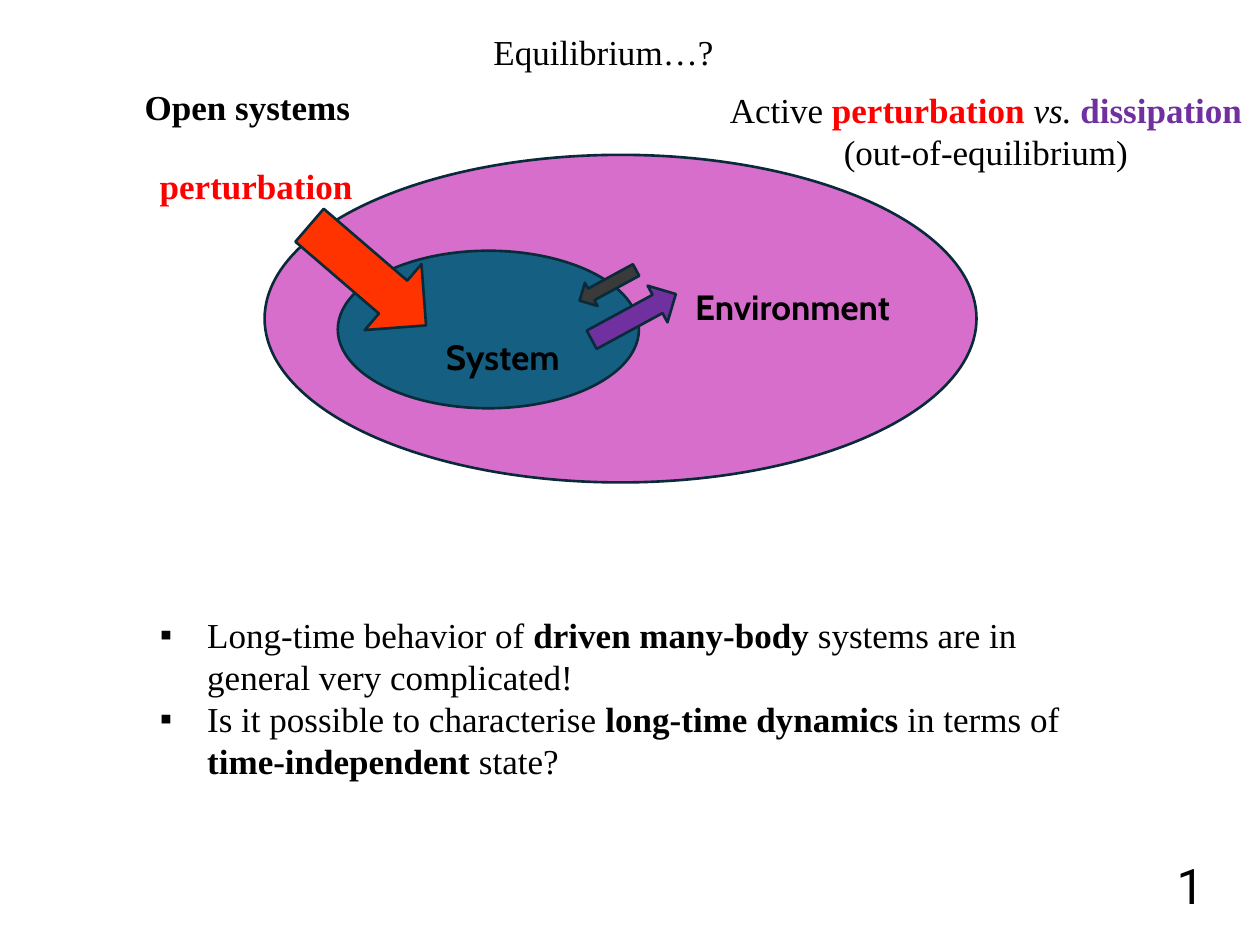
from dataclasses import dataclass
from typing import Any, NamedTuple, Optional

import pptx
import pptx.dml.color
import pptx.enum.shapes
import pptx.enum.text
import pptx.oxml.ns
import pptx.util
from lxml import etree

Pt = pptx.util.Pt
RGBColor = pptx.dml.color.RGBColor
Kind = pptx.enum.shapes.MSO_SHAPE
Align = pptx.enum.text.PP_ALIGN

BLACK = RGBColor(0x00, 0x00, 0x00)
RED = RGBColor(0xFF, 0x00, 0x00)
PURPLE = RGBColor(0x70, 0x30, 0xA0)
PINK = RGBColor(0xD8, 0x6E, 0xCC)
TEAL = RGBColor(0x15, 0x60, 0x82)
ORANGE = RGBColor(0xFF, 0x33, 0x00)
GRAY = RGBColor(0x3A, 0x3A, 0x3A)
NAVY = RGBColor(0x09, 0x2A, 0x39)
WHITE = RGBColor(0xFF, 0xFF, 0xFF)

SERIF = "Times New Roman"
INDENT = 27


class Box(NamedTuple):
    left: float
    top: float
    width: float
    height: float


class Run(NamedTuple):
    text: str
    bold: bool = False
    slant: bool = False
    color: Optional[RGBColor] = None


@dataclass(frozen=True)
class Form:
    kind: Any
    box: Box
    fill: RGBColor
    turn: float = 0


@dataclass(frozen=True)
class Label:
    text: str
    box: Box
    font: str = SERIF
    size: float = 20
    color: RGBColor = BLACK
    bold: bool = True


FORMS = [
    Form(Kind.OVAL, Box(151.2, 88.5, 406.8, 187.2), PINK),
    Form(Kind.OVAL, Box(193, 143.3, 172.1, 90), TEAL),
    Form(Kind.LEFT_ARROW, Box(166.3, 132.5, 87.8, 49.7), ORANGE, 220.7),
    Form(Kind.LEFT_ARROW, Box(329, 155.5, 36.7, 15.1), GRAY, 331.5),
    Form(Kind.RIGHT_ARROW, Box(334.8, 169.2, 54.7, 23.8), PURPLE, 331.5),
]

LABELS = [
    Label("Open systems", Box(75.6, 45.4, 262.8, 31.7)),
    Label("System", Box(247.7, 187.9, 84.2, 31.7), font="Cabin"),
    Label("Environment", Box(390.2, 159.8, 133.2, 31.7), font="Cabin"),
    Label("1", Box(665.3, 485.3, 79.9, 41), font="Roboto", size=28, bold=False),
    Label("perturbation", Box(84.2, 90.7, 288.7, 31.7), color=RED),
]

CLAIM = [
    [
        Run("Active "),
        Run("perturbation ", bold=True, color=RED),
        Run("vs. ", slant=True),
        Run("dissipation", bold=True, color=PURPLE),
    ],
    [Run("(out-of-equilibrium)")],
]

POINTS = [
    [
        Run("Long-time behavior of "),
        Run("driven many-body ", bold=True),
        Run("systems are in general very complicated!"),
    ],
    [
        Run("Is it possible to characterise "),
        Run("long-time dynamics ", bold=True),
        Run("in terms of "),
        Run("time-independent ", bold=True),
        Run("state?"),
    ],
]


def place(shape: Any, box: Box) -> None:
    shape.left, shape.top, shape.width, shape.height = map(Pt, box)


def mark(para: Any) -> None:
    props = para._p.get_or_add_pPr()
    props.set("marL", str(Pt(INDENT)))
    props.set("indent", str(-Pt(INDENT)))
    etree.SubElement(props, pptx.oxml.ns.qn("a:buChar"), char="▪")


def write(
    shape: Any,
    lines: list[list[Run]],
    *,
    font: str = SERIF,
    size: float = 20,
    color: RGBColor = BLACK,
    align: Any = Align.LEFT,
    bullet: bool = False,
) -> None:
    frame = shape.text_frame
    frame.word_wrap = True
    frame.auto_size = pptx.enum.text.MSO_AUTO_SIZE.NONE
    frame.vertical_anchor = pptx.enum.text.MSO_ANCHOR.TOP
    for index, line in enumerate(lines):
        para = frame.add_paragraph() if index else frame.paragraphs[0]
        para.alignment = align
        para.space_before = Pt(0)
        if bullet:
            mark(para)
        for part in line:
            run = para.add_run()
            run.text = part.text
            run.font.name = font
            run.font.size = Pt(size)
            run.font.bold = part.bold
            run.font.italic = part.slant
            run.font.color.rgb = part.color or color


def draw(slide: Any, form: Form) -> None:
    shape = slide.shapes.add_shape(form.kind, *map(Pt, form.box))
    shape.shadow.inherit = False
    shape.rotation = form.turn
    shape.fill.solid()
    shape.fill.fore_color.rgb = form.fill
    shape.line.color.rgb = NAVY
    shape.line.width = Pt(1.5)


def tag(slide: Any, label: Label) -> None:
    shape = slide.shapes.add_textbox(*map(Pt, label.box))
    write(
        shape,
        [[Run(label.text, bold=label.bold)]],
        font=label.font,
        size=label.size,
        color=label.color,
    )


def main() -> None:
    deck = pptx.Presentation()
    deck.slide_width, deck.slide_height = Pt(720), Pt(540)
    slide = deck.slides.add_slide(deck.slide_layouts[1])
    slide.background.fill.solid()
    slide.background.fill.fore_color.rgb = WHITE

    title, body = slide.placeholders
    place(title, Box(208.1, 13.7, 273.6, 31.7))
    write(title, [[Run("Equilibrium…?")]], align=Align.CENTER)
    place(body, Box(84.2, 347, 539.3, 104.4))
    write(body, POINTS, bullet=True)

    for form in FORMS:
        draw(slide, form)
    for label in LABELS:
        tag(slide, label)
    claim = slide.shapes.add_textbox(*map(Pt, Box(388.8, 46.8, 349.2, 55.4)))
    write(claim, CLAIM, align=Align.CENTER)

    deck.save("out.pptx")


if __name__ == "__main__":
    main()
